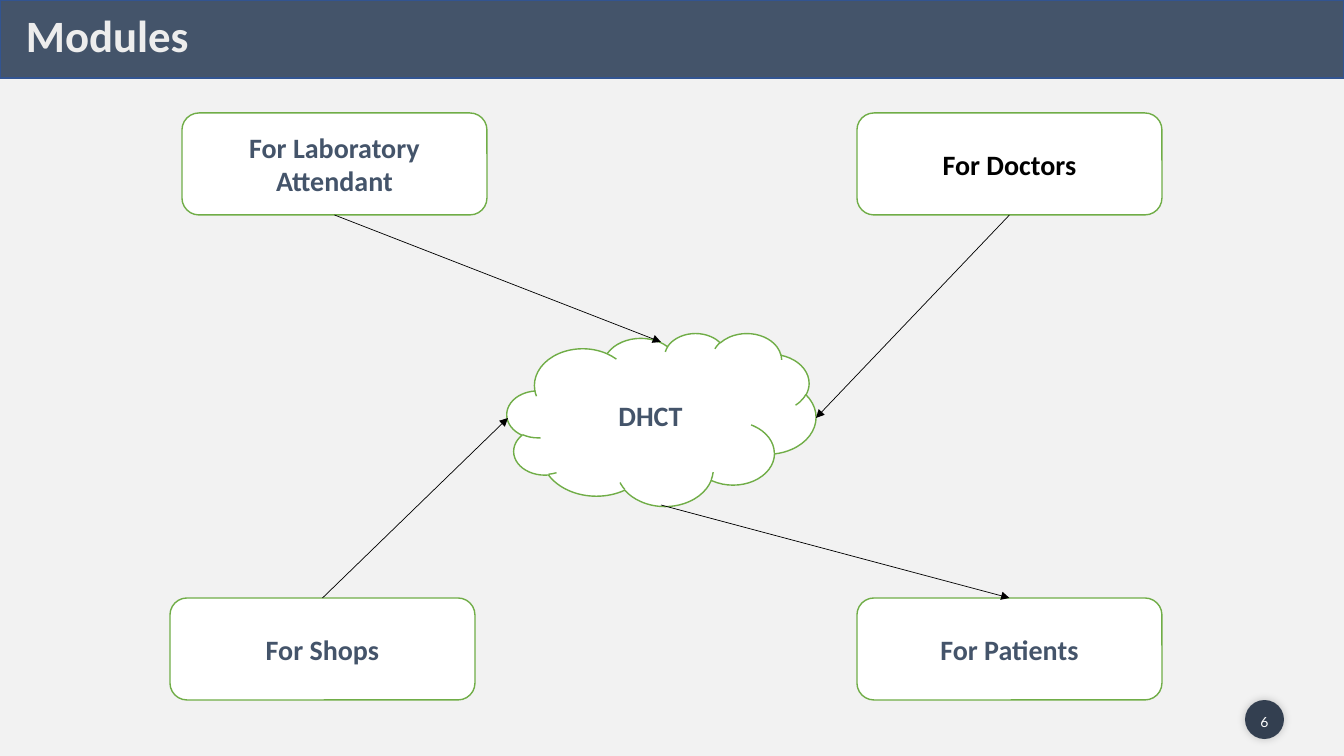
from dataclasses import dataclass

from lxml import etree
from pptx import Presentation
from pptx import util as u
from pptx.dml.color import RGBColor
from pptx.enum import shapes, text
from pptx.oxml import parse_xml
from pptx.oxml.ns import nsdecls, qn

SCALE = 12192000 / 1344
TOP, BOTTOM = 0, 2


@dataclass(frozen=True)
class Theme:
    """Colours, fonts and type sizes of the slide."""

    backdrop: str = "F2F2F2"
    slate: str = "44546A"
    band_edge: str = "325491"
    badge: str = "333F50"
    pale: str = "EDEDED"
    white: str = "FFFFFF"
    black: str = "000000"
    green: str = "70AD47"
    body_font: str = "Calibri"
    number_font: str = "Lato"
    title_size: int = 32
    label_size: int = 20
    number_size: int = 10


THEME = Theme()


def px(length):
    """Turn px into EMU."""
    return u.Emu(round(length * SCALE))


def rgb(colour):
    """Turn a hex string into a colour."""
    return RGBColor.from_string(colour)


def write(holder, words, *, size, colour, font=THEME.body_font, bold=True,
          align=text.PP_ALIGN.CENTER, anchor=text.MSO_ANCHOR.MIDDLE, spacing=None):
    """Write one formatted paragraph into a shape."""
    frame = holder.text_frame
    frame.word_wrap = True
    frame.vertical_anchor = anchor
    paragraph = frame.paragraphs[0]
    paragraph.alignment = align
    paragraph.line_spacing = spacing
    run = paragraph.add_run()
    run.text = words
    run.font.name, run.font.size, run.font.bold = font, u.Pt(size), bold
    run.font.color.rgb = rgb(colour)


def add_panel(slide, preset, box, fill, edge=None):
    """Add a flat preset shape filling the box."""
    panel = slide.shapes.add_shape(preset, *map(px, box))
    panel.shadow.inherit = False
    panel.fill.solid()
    panel.fill.fore_color.rgb = rgb(fill)
    if edge:
        panel.line.color.rgb = rgb(edge)
        panel.line.width = u.Pt(1)
    else:
        panel.line.fill.background()
    return panel


def add_header(slide, box, title):
    """Draw the title band."""
    left, top, width, height = box
    add_panel(slide, shapes.MSO_SHAPE.RECTANGLE, box, THEME.slate, THEME.band_edge)
    heading = slide.shapes.add_textbox(px(left + 16), px(top + 3), px(417), px(height - 13))
    write(heading, title, size=THEME.title_size, colour=THEME.pale,
          align=text.PP_ALIGN.LEFT, anchor=text.MSO_ANCHOR.TOP)


def add_page_badge(slide, box, number):
    """Draw the round page number with its soft shadow."""
    left, top, width, height = box
    disc = add_panel(slide, shapes.MSO_SHAPE.OVAL, box, THEME.badge)
    disc._element.spPr.find(qn("a:effectLst")).append(parse_xml(
        f'<a:outerShdw {nsdecls("a")} blurRad="{u.Pt(6)}" dist="0" dir="18900000">'
        f'<a:srgbClr val="{THEME.black}"><a:alpha val="20000"/></a:srgbClr></a:outerShdw>'))
    label = slide.shapes.add_textbox(px(left - 5), px(top + 6), px(width + 10), px(height - 11))
    write(label, number, size=THEME.number_size, colour=THEME.white,
          font=THEME.number_font, bold=False, spacing=1.2)


def add_module(slide, preset, box, name, colour=THEME.slate):
    """Draw one outlined, labelled module."""
    module = add_panel(slide, preset, box, THEME.white, THEME.green)
    write(module, name, size=THEME.label_size, colour=colour)
    return module


def add_arrow(slide, module, side, cloud_point, inward):
    """Link the side of a module to a point on the cloud."""
    x, y = map(px, cloud_point)
    arrow = slide.shapes.add_connector(shapes.MSO_CONNECTOR.STRAIGHT, x, y, x, y)
    if inward:
        arrow.begin_connect(module, side)
    else:
        arrow.end_connect(module, side)
    arrow.line.color.rgb = rgb(THEME.black)
    arrow.line.width = u.Pt(0.5)
    etree.SubElement(arrow.line._get_or_add_ln(), qn("a:tailEnd"), type="triangle")
    etree.SubElement(arrow._element.spPr, qn("a:effectLst"))


def add_module_map(slide, box):
    """Draw the cloud with its four modules and arrows."""
    left, top, width, height = box
    module_width, module_height = 305, 102
    right = left + width - module_width
    lower = top + height - module_height
    cloud_left, cloud_top, cloud_width, cloud_height = left + 337, top + 220, 309, 173
    middle_x = cloud_left + cloud_width // 2
    middle_y = cloud_top + cloud_height // 2 - 1
    add_module(slide, shapes.MSO_SHAPE.CLOUD,
               (cloud_left, cloud_top, cloud_width, cloud_height), "DHCT")
    modules = [
        ("For Doctors", right, top, THEME.black, BOTTOM,
         (cloud_left + cloud_width, middle_y), True),
        ("For Patients", right, lower, THEME.slate, TOP,
         (middle_x, cloud_top + cloud_height - 1), False),
        ("For Laboratory Attendant", left + 12, top, THEME.slate, BOTTOM,
         (middle_x, cloud_top + 9), True),
        ("For Shops", left, lower, THEME.slate, TOP,
         (cloud_left + 1, middle_y), True),
    ]
    for name, x, y, colour, side, cloud_point, inward in modules:
        module = add_module(slide, shapes.MSO_SHAPE.ROUNDED_RECTANGLE,
                            (x, y, module_width, module_height), name, colour)
        add_arrow(slide, module, side, cloud_point, inward)


def main():
    """Build and save the slide."""
    deck = Presentation()
    deck.slide_width, deck.slide_height = px(1344), px(756)
    slide = deck.slides.add_slide(deck.slide_layouts[6])
    slide.background.fill.solid()
    slide.background.fill.fore_color.rgb = rgb(THEME.backdrop)
    add_header(slide, (0, 0, 1344, 78), "Modules")
    add_page_badge(slide, (1245, 700, 39, 39), "6")
    add_module_map(slide, (170, 113, 992, 587))
    deck.save("out.pptx")


if __name__ == "__main__":
    main()
